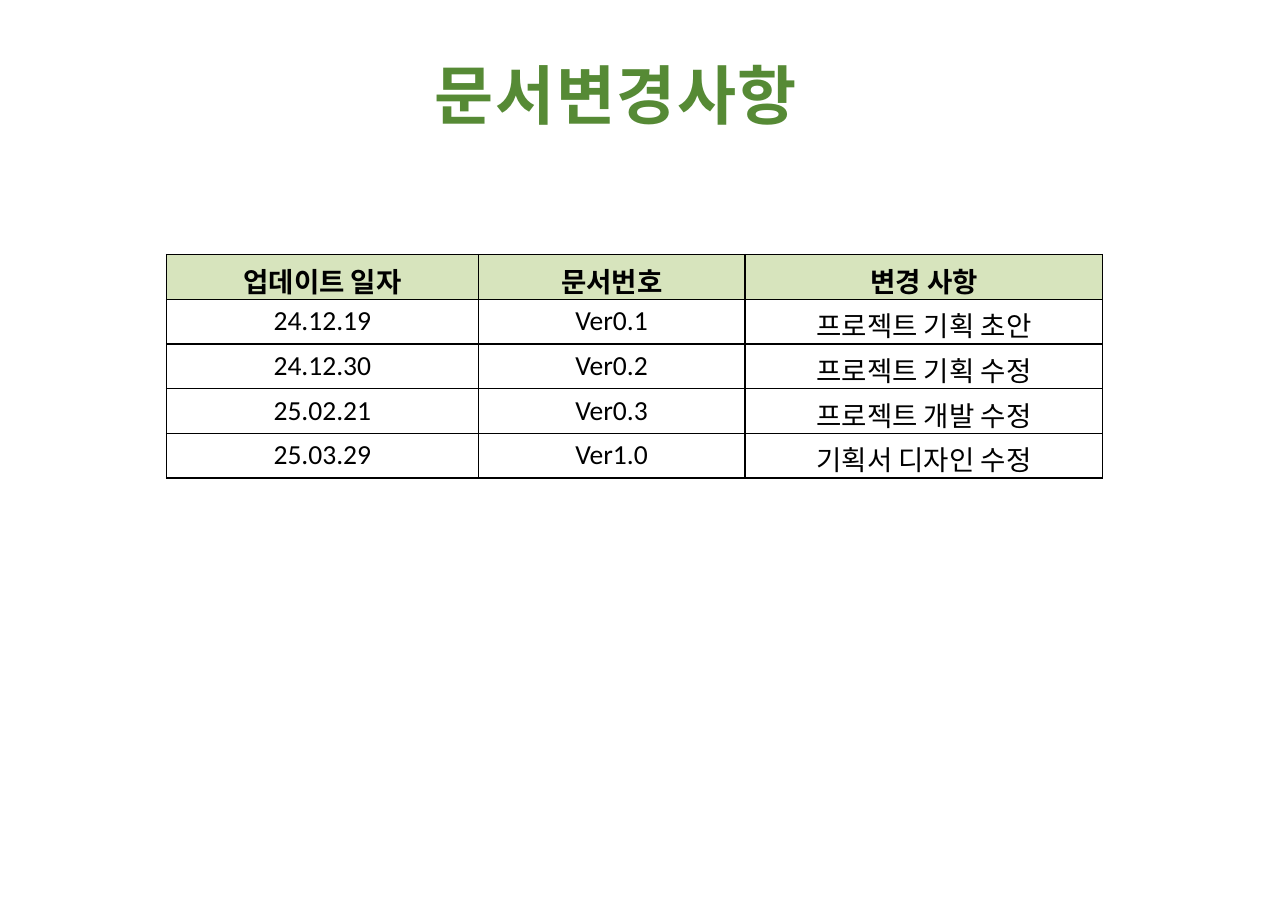
from dataclasses import dataclass

from lxml import etree
from pptx import Presentation
from pptx.dml.color import RGBColor
from pptx.enum.text import MSO_ANCHOR, PP_ALIGN
from pptx.oxml.ns import qn
from pptx.util import Cm, Pt

MIDDLE = MSO_ANCHOR.MIDDLE
CENTER = PP_ALIGN.CENTER


@dataclass(frozen=True)
class Theme:
    face: str = "Calibri"
    green: str = "568A35"
    head: str = "D7E4BD"
    body: str = "FFFFFF"
    ink: str = "000000"
    title: int = 42
    text: int = 18
    rule: int = 1


class Page:
    def __init__(self, deck, theme):
        self.theme = theme
        self.slide = deck.slides.add_slide(deck.slide_layouts[6])

    def style(self, run, size, color, bold):
        font = run.font
        form = {"name": self.theme.face, "size": Pt(size), "bold": bold}
        for key, value in form.items():
            setattr(font, key, value)
        font.color.rgb = RGBColor.from_string(color)

    def title(self, text, left, top, width, height):
        box = self.slide.shapes.add_textbox(Cm(left), Cm(top), Cm(width), Cm(height))
        frame = box.text_frame
        form = {"word_wrap": True, "vertical_anchor": MIDDLE, "margin_left": 0,
                "margin_top": 0, "margin_right": 0, "margin_bottom": 0}
        for key, value in form.items():
            setattr(frame, key, value)
        line = frame.paragraphs[0]
        line.line_spacing = 0.97
        run = line.add_run()
        run.text = text
        self.style(run, self.theme.title, self.theme.green, True)
        # Letter spacing of one point
        run.font._element.set("spc", "100")

    def border(self, cell):
        props = cell._tc.get_or_add_tcPr()
        for side in ("lnL", "lnR", "lnT", "lnB"):
            edge = etree.SubElement(props, qn("a:" + side), w=str(Pt(self.theme.rule)))
            fill = etree.SubElement(edge, qn("a:solidFill"))
            etree.SubElement(fill, qn("a:srgbClr"), val=self.theme.ink)

    def table(self, rows, left, top, widths, height):
        frame = self.slide.shapes.add_table(
            len(rows), len(widths), Cm(left), Cm(top),
            Cm(sum(widths)), Cm(height * len(rows)))
        table = frame.table
        table.horz_banding = False
        for col, width in zip(table.columns, widths):
            col.width = Cm(width)
        for i, row in enumerate(rows):
            table.rows[i].height = Cm(height)
            for j, text in enumerate(row):
                self.cell(table.cell(i, j), text, i == 0)

    def cell(self, cell, text, head):
        self.border(cell)
        cell.fill.solid()
        shade = self.theme.head if head else self.theme.body
        cell.fill.fore_color.rgb = RGBColor.from_string(shade)
        line = cell.text_frame.paragraphs[0]
        line.alignment = CENTER
        run = line.add_run()
        run.text = text
        self.style(run, self.theme.text, self.theme.ink, head)


def main():
    deck = Presentation()
    deck.slide_width, deck.slide_height = Cm(29.7), Cm(21.03)
    page = Page(deck, Theme())

    # Heading
    page.title("문서변경사항", 10.03, 1.19, 9.63, 2.08)

    # Change log
    rows = [
        ("업데이트 일자", "문서번호", "변경 사항"),
        ("24.12.19", "Ver0.1", "프로젝트 기획 초안"),
        ("24.12.30", "Ver0.2", "프로젝트 기획 수정"),
        ("25.02.21", "Ver0.3", "프로젝트 개발 수정"),
        ("25.03.29", "Ver1.0", "기획서 디자인 수정"),
    ]
    page.table(rows, 3.84, 5.87, (7.19, 6.15, 8.25), 1.03)

    deck.save("out.pptx")


if __name__ == "__main__":
    main()
